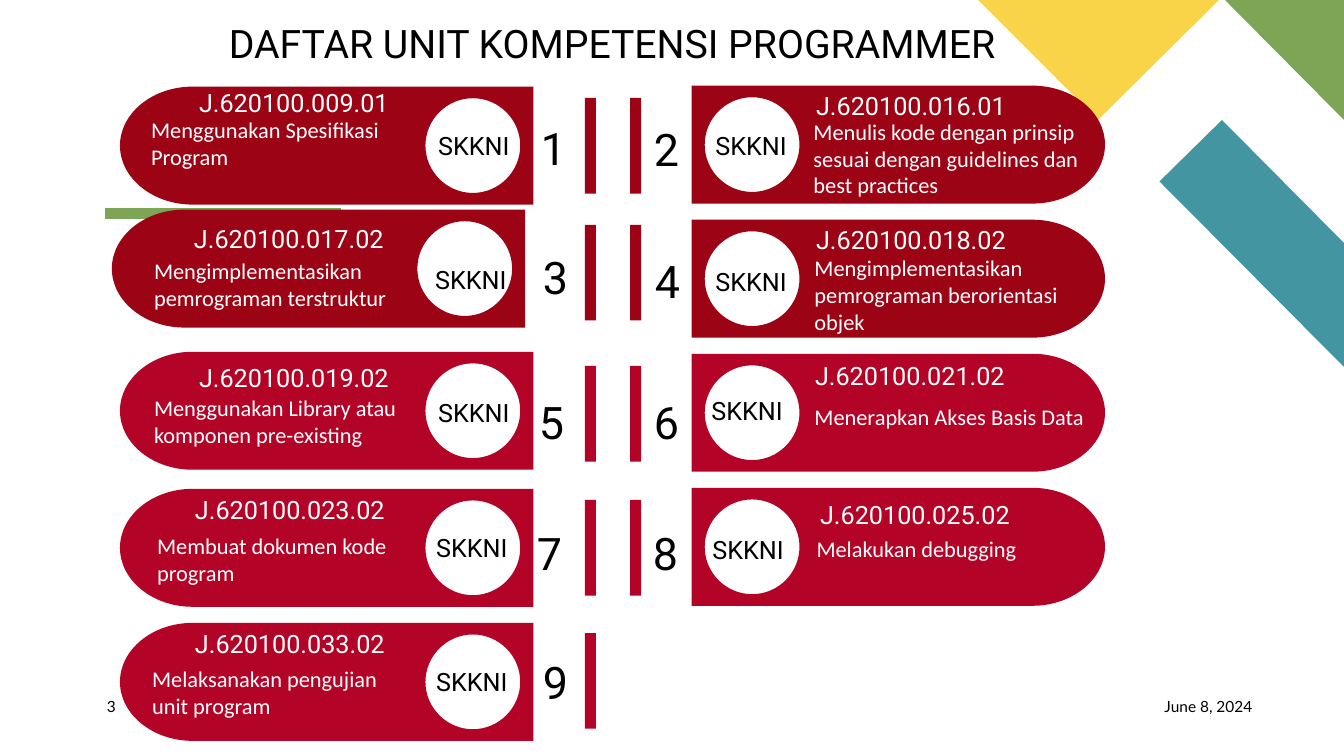
"""Build the slide listing the programmer competency units."""
from lxml import etree
from pptx import Presentation
from pptx.dml.color import RGBColor
from pptx.enum.shapes import MSO_CONNECTOR, MSO_SHAPE
from pptx.enum.text import MSO_ANCHOR, MSO_AUTO_SIZE, PP_ALIGN
from pptx.oxml.ns import qn
from pptx.util import Inches, Pt

BLACK = RGBColor(0x00, 0x00, 0x00)
WHITE = RGBColor(0xFF, 0xFF, 0xFF)
DARK_RED = RGBColor(0x9C, 0x04, 0x15)
CRIMSON = RGBColor(0xB3, 0x04, 0x27)
GREEN = RGBColor(0x7C, 0xA6, 0x55)
TEAL = RGBColor(0x44, 0x95, 0xA2)
YELLOW = RGBColor(0xF9, 0xD4, 0x48)
LEFT, CENTER = PP_ALIGN.LEFT, PP_ALIGN.CENTER
TOP = MSO_ANCHOR.TOP
FIT, NO_FIT = MSO_AUTO_SIZE.SHAPE_TO_FIT_TEXT, MSO_AUTO_SIZE.NONE
RECTANGLE, STRAIGHT = MSO_SHAPE.RECTANGLE, MSO_CONNECTOR.STRAIGHT

TITLE = {"size": Pt(28), "name": "Roboto", "color": BLACK, "align": CENTER}
NUMBER = {**TITLE, "size": Pt(32)}
BADGE = {**TITLE, "size": Pt(18)}
CODE = {**BADGE, "color": WHITE}
UNIT = {"size": Pt(16), "name": "Calibri", "color": WHITE, "align": LEFT, "after": Pt(8)}
FOOTER = {"size": Pt(11), "name": "Lato", "color": BLACK, "align": LEFT, "inset": 0}

UNITS = 1000
CARD_W, CARD_H, CAP_W = 4.1, 1.17, 0.72
HOLE_X, HOLE_R = 0.6, 0.47
BAR_W, BAR_H = 0.11, 0.95
BAR_TOPS = [0.97, 2.23, 3.63, 4.96, 6.28]
BAR_LEFTS = [5.8, 6.25]
K = 0.55
HALF_CIRCLE = [(0, -1), (K, -1), (1, -K), (1, 0), (1, K), (K, 1), (0, 1)]
CIRCLE = HALF_CIRCLE + [(-x, -y) for x, y in HALF_CIRCLE[1:]]

CARDS = [
    ("J.620100.009.01", "Menggunakan Spesifikasi Program",
     (5.29, 0.86), (5.19, 1.15), (4.22, 1.24), (1.65, 0.82), (1.4, 1.1, 2.79, 0.64)),
    ("J.620100.016.01", "Menulis kode dengan prinsip sesuai dengan guidelines dan best practices",
     (6.86, 0.85), (6.31, 1.16), (6.97, 1.24), (7.77, 0.85), (7.97, 1.12, 3.04, 0.91)),
    ("J.620100.017.02", "Mengimplementasikan pemrograman terstruktur",
     (5.21, 2.08), (5.21, 2.43), (4.19, 2.57), (1.6, 2.17), (1.43, 2.5, 3.04, 0.64)),
    ("J.620100.018.02", "Mengimplementasikan pemrograman berorientasi objek",
     (6.86, 2.18), (6.32, 2.47), (6.97, 2.59), (7.77, 2.18), (7.98, 2.47, 3.04, 0.91)),
    ("J.620100.019.02", "Menggunakan Library atau komponen pre-existing",
     (5.29, 3.49), (5.17, 3.87), (4.22, 3.89), (1.65, 3.55), (1.43, 3.86, 3.04, 0.64)),
    ("J.620100.021.02", "Menerapkan Akses Basis Data",
     (6.86, 3.51), (6.31, 3.87), (6.93, 3.87), (7.76, 3.53), (7.98, 3.95, 3.04, 0.37)),
    ("J.620100.023.02", "Membuat dokumen kode program",
     (5.29, 4.85), (5.15, 5.17), (4.2, 5.23), (1.61, 4.85), (1.46, 5.23, 3.04, 0.64)),
    ("J.620100.025.02", "Melakukan debugging",
     (6.86, 4.84), (6.3, 5.17), (6.94, 5.25), (7.81, 4.9), (8, 5.26, 2.52, 0.37)),
    ("J.620100.033.02", "Melaksanakan pengujian unit program",
     (5.29, 6.18), (5.21, 6.45), (4.2, 6.56), (1.61, 6.18), (1.41, 6.55, 2.78, 0.64)),
]

prs = Presentation()
prs.slide_width, prs.slide_height = Inches(13.33), Inches(7.5)
slide = prs.slides.add_slide(prs.slide_layouts[5])
shapes = slide.shapes


def write(text, box, style, holder=None):
    """Put styled text in a new text box or in the given placeholder."""
    left, top, width, height = (Inches(value) for value in box)
    holder = holder or shapes.add_textbox(left, top, width, height)
    holder.left, holder.top, holder.width, holder.height = left, top, width, height
    frame = holder.text_frame
    frame.text = text
    inset = style.get("inset", 1)
    frame_format = {
        "word_wrap": True, "vertical_anchor": TOP, "auto_size": FIT if inset else NO_FIT,
        "margin_left": Inches(0.1 * inset), "margin_right": Inches(0.1 * inset),
        "margin_top": Inches(0.05 * inset), "margin_bottom": Inches(0.05 * inset),
    }
    for key, value in frame_format.items():
        setattr(frame, key, value)
    paragraph = frame.paragraphs[0]
    paragraph.alignment = style["align"]
    paragraph.space_after = style.get("after", Pt(0))
    font = paragraph.runs[0].font
    font.size, font.name = style["size"], style["name"]
    font.color.rgb = style["color"]


def outline(contours, color):
    """Draw a filled outline; every contour after the first cuts a hole."""
    scaled = [[(x * UNITS, y * UNITS) for x, y in contour] for contour in contours]
    builder = shapes.build_freeform(*scaled[0][0], scale=Inches(1) / UNITS)
    builder.add_line_segments(scaled[0][1:], close=True)
    for hole in scaled[1:]:
        builder.move_to(*hole[0])
        builder.add_line_segments(hole[1:], close=True)
    shape = builder.convert_to_shape()
    shape.shadow.inherit = False
    shape.fill.solid()
    shape.fill.fore_color.rgb = color
    shape.line.fill.background()
    return shape


write("DAFTAR UNIT KOMPETENSI PROGRAMMER", (1.41, 0.14, 9.32, 0.57), TITLE, shapes.title)

accent = shapes.add_connector(STRAIGHT, Inches(1.04), Inches(2.12), Inches(3.38), Inches(2.12))
accent.line.color.rgb = GREEN
accent.line.width = Pt(8)
etree.SubElement(accent.element.spPr, qn("a:effectLst"))

outline([[(13.33, 3.64), (13.33, 2.41), (12.12, 1.19), (11.5, 1.8)]], TEAL)
outline([[(13.33, 1.19), (13.33, 0), (12.15, 0)]], GREEN)
outline([[(9.7, 0), (10.89, 1.19), (12.09, 0)]], YELLOW)

write("June 8, 2024", (11.55, 6.92, 1.44, 0.27), FOOTER)
write("3", (1.06, 6.92, 0.57, 0.27), FOOTER)

for index, (code, unit, flat_edge, number_at, badge_at, code_at, unit_box) in enumerate(CARDS):
    row, column = divmod(index, 2)
    color = DARK_RED if row < 2 else CRIMSON
    direction = 1 if column else -1
    edge, top = flat_edge
    middle = top + CARD_H / 2

    cap = [(edge + direction * (CARD_W - CAP_W + CAP_W * x), middle + CARD_H / 2 * y)
           for x, y in HALF_CIRCLE]
    hole = [(edge + direction * (HOLE_X + HOLE_R * x), middle - HOLE_R * y) for x, y in CIRCLE]
    card = outline([[*cap, (edge, top + CARD_H), (edge, top)], hole], color)
    segments = list(card.element.iter(qn("a:lnTo")))
    curved = segments[:6] + segments[8:]
    for start in range(0, len(curved), 3):
        curve = etree.Element(qn("a:cubicBezTo"))
        curved[start].addprevious(curve)
        for segment in curved[start:start + 3]:
            curve.append(segment[0])
            segment.getparent().remove(segment)

    bar = shapes.add_shape(RECTANGLE, Inches(BAR_LEFTS[column]), Inches(BAR_TOPS[row]),
                           Inches(BAR_W), Inches(BAR_H))
    bar.shadow.inherit = False
    bar.fill.solid()
    bar.fill.fore_color.rgb = color
    bar.line.fill.background()

    write("SKKNI", (*badge_at, 0.96, 0.4), BADGE)
    write(code, (*code_at, 2.53, 0.4), CODE)
    write(unit, unit_box, UNIT)
    write(str(index + 1), (*number_at, 0.6, 0.64), NUMBER)

prs.save("out.pptx")
